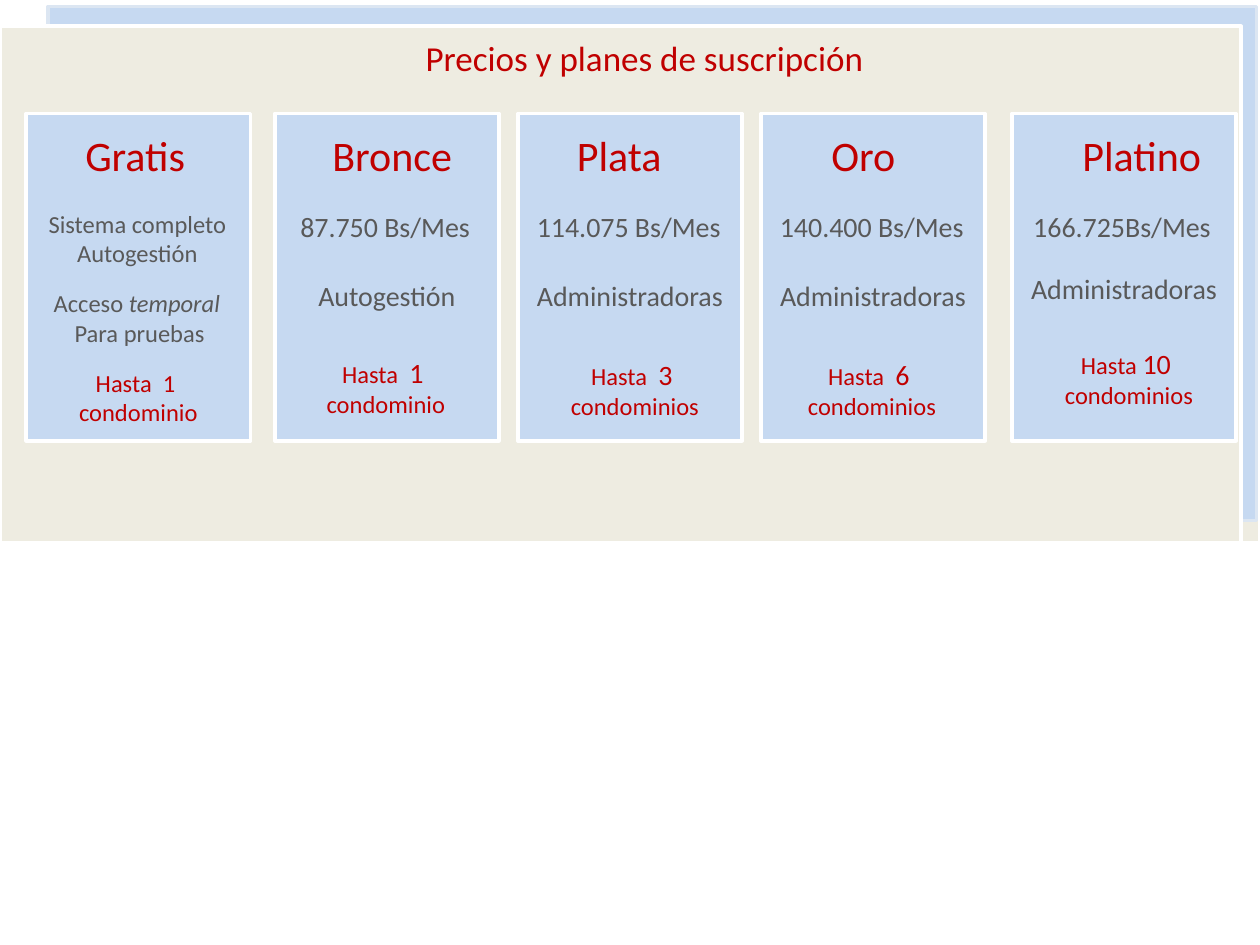
from pptx import Presentation
from pptx.dml.color import RGBColor
from pptx.enum.shapes import MSO_SHAPE
from pptx.enum.text import MSO_AUTO_SIZE, PP_ALIGN
from pptx.util import Cm, Pt

RECT = MSO_SHAPE.RECTANGLE
GROW = MSO_AUTO_SIZE.SHAPE_TO_FIT_TEXT
LEFT, CENTER = PP_ALIGN.LEFT, PP_ALIGN.CENTER
COLORS = {"beige": "EEECE1", "blue": "C6D9F1", "pale": "DCE6F2",
          "white": "FFFFFF", "red": "C00000", "gray": "595959"}
CARD_TOP, CARD_W, CARD_H = 2.29, 4.52, 6.6
SMALL, PRICE = {"size": Pt(14)}, {"size": Pt(16)}
ITALIC = {"size": Pt(14), "italic": True}

PANELS = [
    ((0.38, 0.53, 25.02, 10.41), "beige", "white"),
    ((0.97, 0.13, 24.36, 10.36), "blue", "pale"),
    ((0, 0.53, 25.02, 10.41), "beige", "white"),
]


def price_rows(price, price_box, audience, audience_box):
    """Return the price and audience rows of a paid plan."""
    return [(price_box, "gray", [[(price, PRICE)]]),
            (audience_box, "gray", [[(audience, PRICE)]])]


def limit_row(box, lead, count, noun, fmt=PRICE):
    """Return the row that states how many condominiums a plan covers."""
    return (box, "red", [[(lead, SMALL), (count, fmt)], [(noun, SMALL)]])


PLANS = [
    (0.53, "Gratis", 0.94, 2.62, [
        ((0.13, 1.8, 4.22, 1.45), "gray",
         [[("Sistema completo", SMALL)], [("Autogestión", SMALL)]]),
        ((0.23, 3.4, 4.11, 1.45), "gray",
         [[("Acceso ", SMALL), ("temporal ", ITALIC)], [("Para pruebas", SMALL)]]),
        limit_row((0.76, 5, 3, 1.45), "Hasta  ", "1 ", "condominio", SMALL)]),
    (5.54, "Bronce", 0.91, 3.02, price_rows(
        "87.750 Bs/Mes", (0.18, 1.8, 4.09, 0.94),
        "Autogestión", (0.56, 3.2, 3.4, 0.94)) + [
        limit_row((0.74, 4.75, 3, 1.55), "Hasta  ", "1 ", "condominio")]),
    (10.44, "Plata", 0.94, 2.29, price_rows(
        "114.075 Bs/Mes", (0.05, 1.8, 4.37, 0.94),
        "Administradoras", (0.05, 3.2, 4.42, 0.94)) + [
        limit_row((0.76, 4.8, 3.2, 1.55), "Hasta  ", "3 ", "condominios")]),
    (15.34, "Oro", 1.17, 1.85, price_rows(
        "140.400 Bs/Mes", (0.05, 1.8, 4.37, 0.94),
        "Administradoras", (0.05, 3.2, 4.42, 0.94)) + [
        limit_row((0.64, 4.8, 3.2, 1.55), "Hasta  ", "6 ", "condominios")]),
    (20.4, "Platino", 1.17, 3, price_rows(
        "166.725Bs/Mes", (0.1, 1.8, 4.24, 0.94),
        "Administradoras", (0.05, 3.05, 4.42, 0.94)) + [
        limit_row((0.76, 4.57, 3.2, 1.55), "Hasta ", "10 ", "condominios")]),
]


def add_rect(s, box, fill, line):
    """Add a filled rectangle with a 2 pt outline."""
    sp = s.shapes.add_shape(RECT, *map(Cm, box))
    sp.shadow.inherit = False
    sp.fill.solid()
    sp.fill.fore_color.rgb = RGBColor.from_string(COLORS[fill])
    sp.line.color.rgb = RGBColor.from_string(COLORS[line])
    sp.line.width = Pt(2)


def add_text(s, box, color, lines, align=CENTER):
    """Add an unwrapped text box with one paragraph per line of runs."""
    tf = s.shapes.add_textbox(*map(Cm, box)).text_frame
    tf.word_wrap = False
    tf.auto_size = GROW
    for i, runs in enumerate(lines):
        p = tf.add_paragraph() if i else tf.paragraphs[0]
        p.alignment = align
        for text, fmt in runs:
            r = p.add_run()
            r.text = text
            r.font.color.rgb = RGBColor.from_string(COLORS[color])
            for name, value in {"name": "Calibri", **fmt}.items():
                setattr(r.font, name, value)


def add_plan(s, left, top, name, name_dx, name_w, rows):
    """Add a plan card with its name and rows placed from its corner."""
    add_rect(s, (left, top, CARD_W, CARD_H), "blue", "white")
    add_text(s, (left + name_dx, top + 0.2, name_w, 1.28), "red",
             [[(name, {"size": Pt(24)})]], LEFT)
    for (dx, dy, w, h), color, lines in rows:
        add_text(s, (left + dx, top + dy, w, h), color, lines)


def main():
    """Build the pricing slide and save it."""
    prs = Presentation()
    prs.slide_width, prs.slide_height = Cm(25.4), Cm(19.05)
    s = prs.slides.add_slide(prs.slide_layouts[6])
    for panel in PANELS:
        add_rect(s, *panel)
    for left, *plan in PLANS:
        add_plan(s, left, CARD_TOP, *plan)
    add_text(s, (8.33, 0.61, 9.68, 1.12), "red",
             [[("Precios y planes de suscripción", {"size": Pt(20)})]], LEFT)
    prs.save("out.pptx")


if __name__ == "__main__":
    main()
